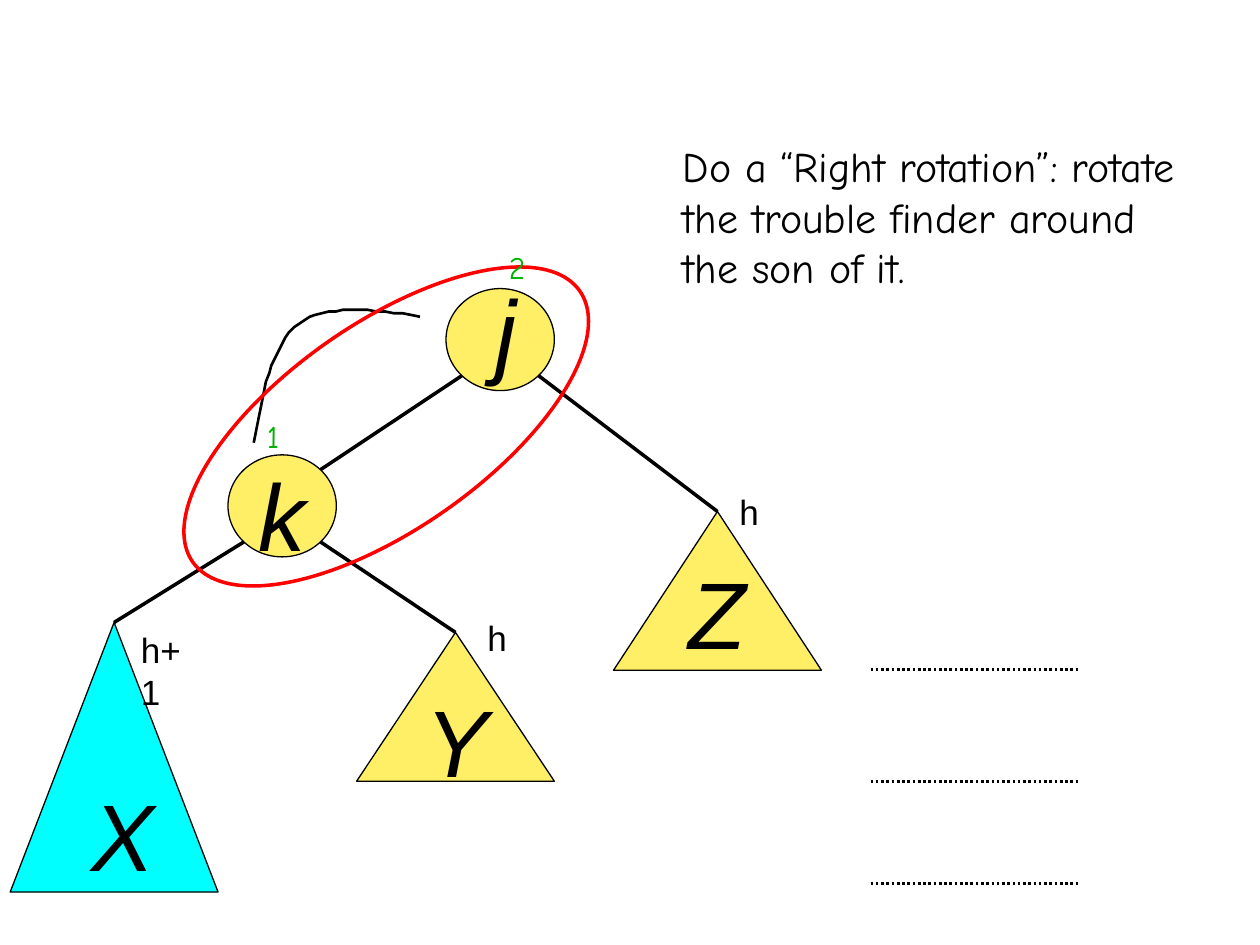
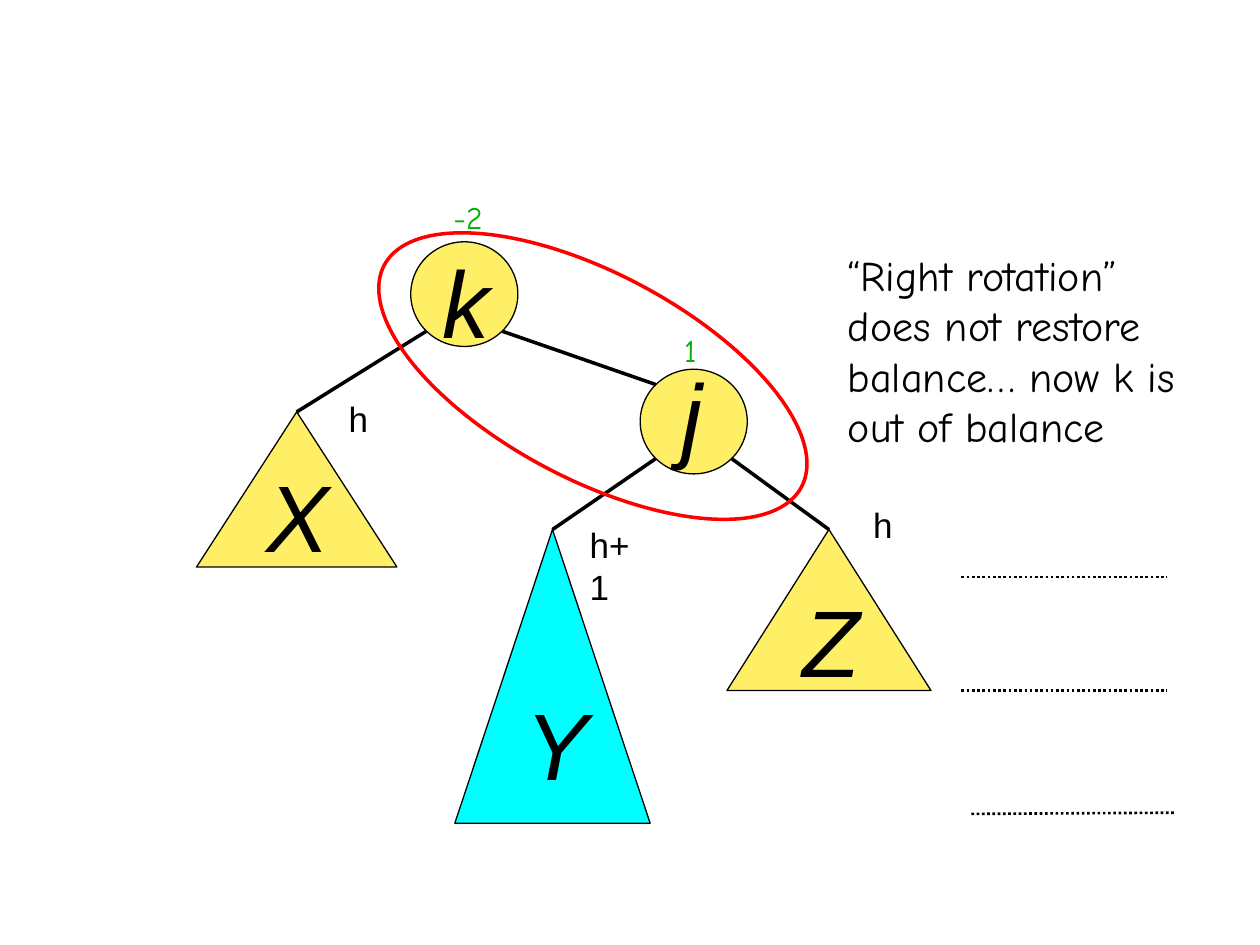
import math

import pptx
import pptx.dml.color
import pptx.enum.dml
import pptx.enum.shapes
import pptx.oxml.ns
import pptx.util
from lxml import etree

Pt = pptx.util.Pt
SHAPE = pptx.enum.shapes.MSO_SHAPE
COLORS = {"ink": "000000", "node": "FFEF66", "tall": "00FFFF",
          "pivot": "FF0000", "balance": "00B200"}
LETTER_FONT, NOTE_FONT = "Arial", "Comic Neue"
INSET = 3.6
DIAGONAL = math.sqrt(0.5) / 2


def rgb(name):
    return pptx.dml.color.RGBColor.from_string(COLORS[name])


def bezier(start, control_a, control_b, end, steps=16):
    """Points along a cubic curve, without its start."""
    points = []
    for step in range(1, steps + 1):
        t = step / steps
        weights = ((1 - t) ** 3, 3 * t * (1 - t) ** 2, 3 * t * t * (1 - t), t ** 3)
        points.append(tuple(
            round(sum(w * p for w, p in zip(weights, axis)), 2)
            for axis in zip(start, control_a, control_b, end)))
    return points


class TreeDeck:
    def __init__(self):
        self.deck = pptx.Presentation()
        self.deck.slide_width, self.deck.slide_height = Pt(720), Pt(540)

    def new_slide(self, node_size):
        self.shapes = self.deck.slides.add_slide(self.deck.slide_layouts[6]).shapes
        self.node_size = node_size

    def style(self, shape, fill=None, line="ink", width=0.75):
        shape.shadow.inherit = False
        if fill:
            shape.fill.solid()
            shape.fill.fore_color.rgb = rgb(fill)
        else:
            shape.fill.background()
        shape.line.color.rgb = rgb(line)
        shape.line.width = Pt(width)

    def preset(self, kind, box, **look):
        shape = self.shapes.add_shape(kind, *map(Pt, box))
        self.style(shape, **look)
        return shape

    def text(self, lines, box, size, font=LETTER_FONT, color="ink", italic=False, wrap=False):
        frame = self.shapes.add_textbox(*map(Pt, box)).text_frame
        frame.word_wrap = wrap
        # Arial sits a little lower in its line
        frame.margin_top = Pt(INSET + (0.09 * size if font == LETTER_FONT else 0))
        frame.margin_bottom = Pt(INSET)
        frame.text = lines
        for paragraph in frame.paragraphs:
            for run in paragraph.runs:
                run.font.size, run.font.name = Pt(size), font
                run.font.italic = italic
                run.font.color.rgb = rgb(color)

    def letter(self, name, left, top):
        self.text(name, (left, top, 38, 72), 54, italic=True, wrap=True)

    def node(self, name, corner, letter_at):
        """Draw a node and return its four diagonal edge points."""
        width, height = self.node_size
        self.preset(SHAPE.OVAL, (*corner, width, height), fill="node")
        self.letter(name, *letter_at)
        x, y = corner[0] + width / 2, corner[1] + height / 2
        dx, dy = width * DIAGONAL, height * DIAGONAL
        return {"top left": (x - dx, y - dy), "top right": (x + dx, y - dy),
                "left": (x - dx, y + dy), "right": (x + dx, y + dy)}

    def subtree(self, name, box, letter_at, height, height_at):
        """Draw a labelled subtree and return its apex."""
        fill = "tall" if height == "h+1" else "node"
        self.preset(SHAPE.ISOSCELES_TRIANGLE, box, fill=fill)
        self.letter(name, *letter_at)
        self.text(height, (*height_at, 48 if height == "h+1" else 25, 32), 20)
        return box[0] + box[2] / 2, box[1]

    def line(self, start, end, width=2, dotted=False):
        connector = self.shapes.add_connector(
            pptx.enum.shapes.MSO_CONNECTOR.STRAIGHT, *map(Pt, (*start, *end)))
        connector.line.color.rgb = rgb("ink")
        connector.line.width = Pt(width)
        if dotted:
            connector.line.dash_style = pptx.enum.dml.MSO_LINE.ROUND_DOT
        etree.SubElement(connector._element.spPr, pptx.oxml.ns.qn("a:effectLst"))

    def level(self, start, end):
        self.line(start, end, width=1.5, dotted=True)

    def balance(self, value, left, top):
        self.text(value, (left, top, 42, 29), 18, NOTE_FONT, "balance", wrap=True)

    def note(self, lines, box):
        self.text(lines, box, 24, NOTE_FONT)

    def pivot(self, left, top, angle):
        self.preset(SHAPE.OVAL, (left, top, 270, 117.4), line="pivot", width=2).rotation = angle

    def curve(self, start, *segments):
        points, last = [], start
        for segment in segments:
            points += bezier(last, *segment)
            last = segment[-1]
        builder = self.shapes.build_freeform(*start, scale=Pt(1))
        builder.add_line_segments(points, close=False)
        self.style(builder.convert_to_shape(), width=1.5)


def before_rotation(tree):
    tree.new_slide((61.9, 58.3))
    j = tree.node("j", (254.9, 164.9), (275.8, 147.6))
    k = tree.node("k", (130.3, 259.9), (140.4, 252.7))
    x = tree.subtree("X", (5.8, 355.7, 118.8, 154.1), (45.4, 435.6), "h+1", (73.4, 353.5))
    y = tree.subtree("Y", (203.8, 361.4, 113, 85), (236.2, 381.6), "h", (271.4, 347))
    z = tree.subtree("Z", (350.6, 292.3, 118.8, 90.7), (386.6, 308.9), "h", (415.4, 275))
    for start, end in ((j["left"], k["top right"]), (k["left"], x),
                       (k["right"], y), (j["right"], z)):
        tree.line(start, end)
    for depth in (382.5, 446.4, 504.7):
        tree.level((497.5, depth), (616.3, depth))
    tree.note("Do a “Right rotation”: rotate\nthe trouble finder around\nthe son of it.",
              (383, 77, 298, 93.6))
    tree.curve((145.4, 253.4),
               ((149.8, 225.4), (154.8, 197.3), (170.6, 185)),
               ((185.8, 173.5), (213.1, 177.1), (239.8, 180.7)))
    tree.pivot(85.7, 185, 325)
    tree.balance("1", 145.4, 234.7)
    tree.balance("2", 283.7, 138.2)


def after_rotation(tree):
    tree.new_slide((61.2, 59.8))
    j = tree.node("j", (365.8, 211), (382.3, 195.8))
    k = tree.node("k", (234.7, 138.2), (245.5, 131))
    x = tree.subtree("X", (112.3, 235.4, 114.5, 88.6), (145.4, 253.4), "h", (192.2, 221.8))
    y = tree.subtree("Y", (259.9, 302.6, 111.6, 167.8), (293, 383.8), "h+1", (329.8, 293.8))
    z = tree.subtree("Z", (415.4, 302.6, 116.6, 92), (451.4, 324.7), "h", (491.8, 282.2))
    for start, end in ((k["right"], j["top left"]), (k["left"], x),
                       (j["left"], y), (j["right"], z)):
        tree.line(start, end)
    for depth in (329.8, 394.6):
        tree.level((549.4, depth), (666.7, depth))
    tree.level((555.1, 465.1), (671.8, 464.4))
    tree.note("“Right rotation”\ndoes not restore\nbalance… now k is\nout of balance",
              (477.4, 139, 201.6, 122.4))
    tree.pivot(203.8, 156.2, 28)
    tree.balance("1", 383.8, 185.8)
    tree.balance("-2", 252, 109.4)


def main():
    tree = TreeDeck()
    before_rotation(tree)
    after_rotation(tree)
    tree.deck.save("out.pptx")


if __name__ == "__main__":
    main()
